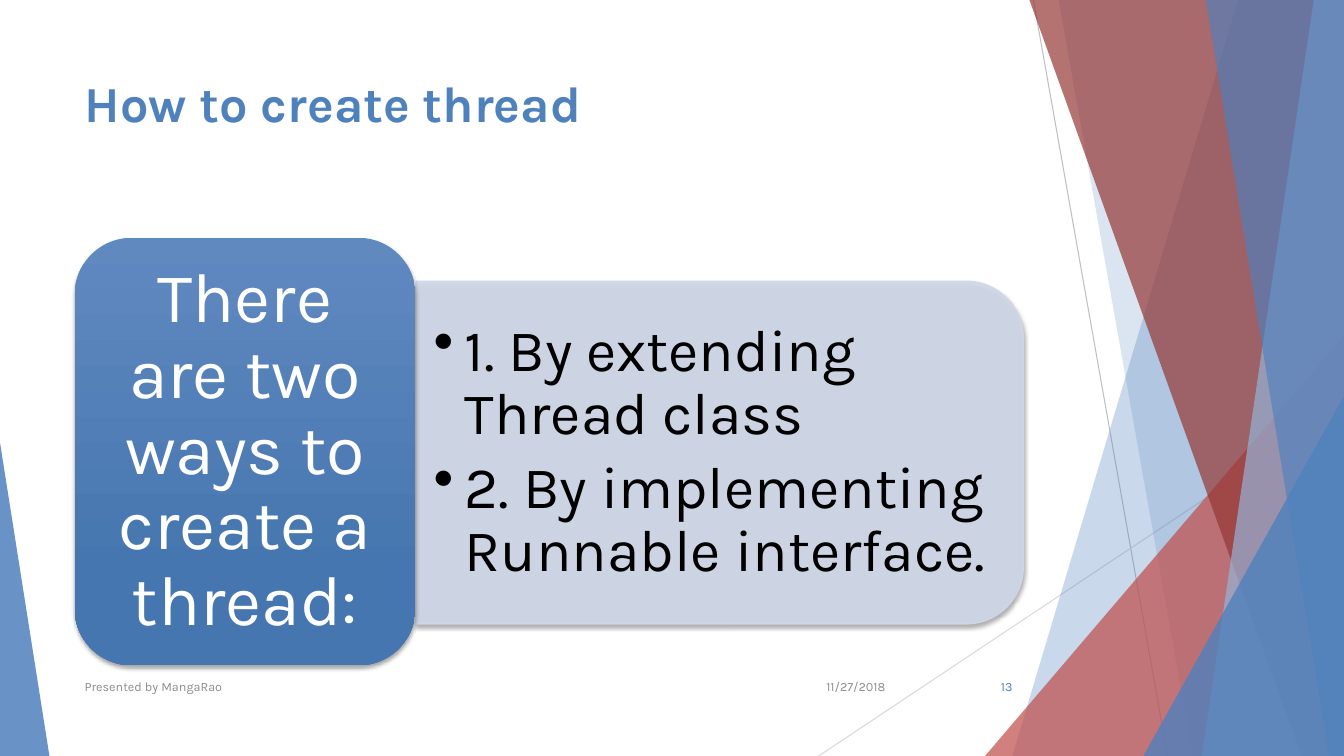
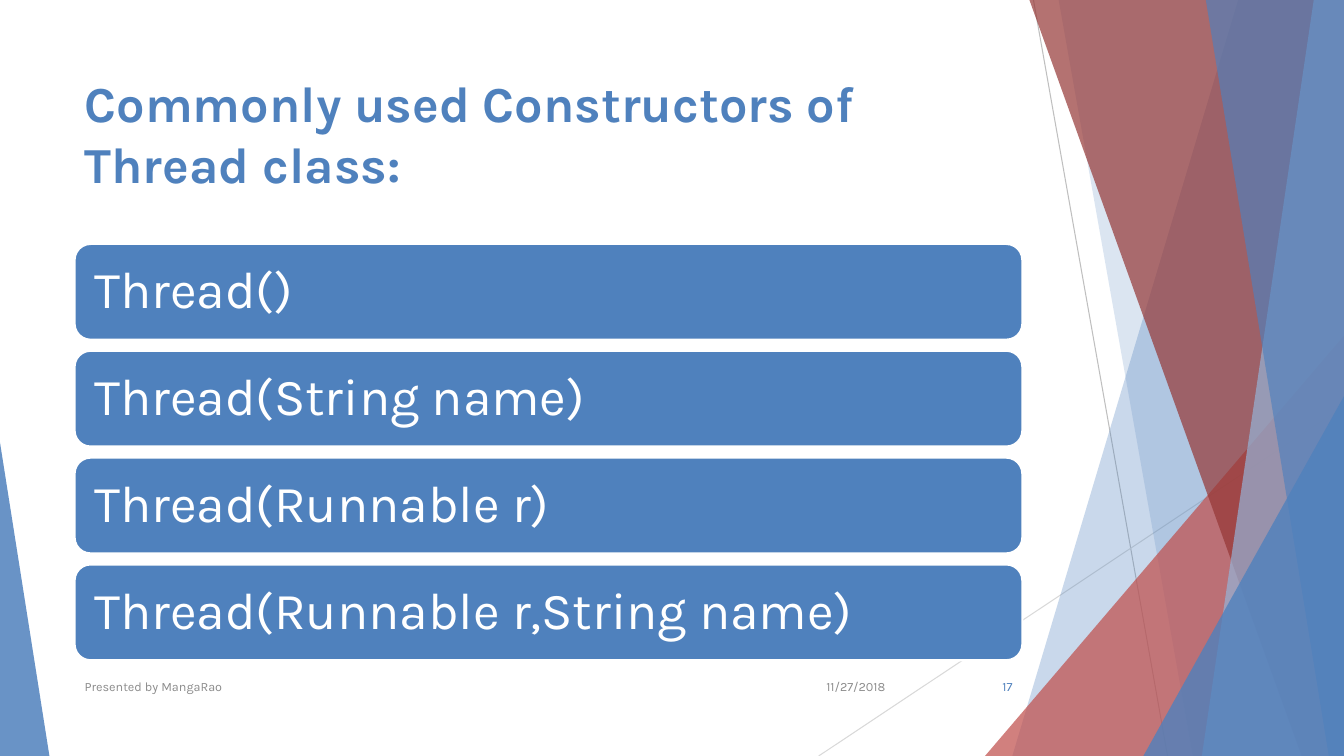
from lxml import etree
from pptx import Presentation
from pptx.dml.color import RGBColor
from pptx.enum.shapes import MSO_CONNECTOR, MSO_SHAPE
from pptx.enum.text import MSO_ANCHOR, MSO_AUTO_SIZE, PP_ALIGN
from pptx.oxml.ns import qn
from pptx.util import Emu, Pt

ROUND = MSO_SHAPE.ROUNDED_RECTANGLE
TAB = MSO_SHAPE.ROUND_2_SAME_RECTANGLE
WEDGE = MSO_SHAPE.ISOSCELES_TRIANGLE
LINE = MSO_CONNECTOR.STRAIGHT
LEFT, MID, RIGHT = PP_ALIGN.LEFT, PP_ALIGN.CENTER, PP_ALIGN.RIGHT
TOP, CENTER = MSO_ANCHOR.TOP, MSO_ANCHOR.MIDDLE
FIXED = MSO_AUTO_SIZE.NONE

# Style: 100 px to the inch
SCALE = 9144
WIDE, HIGH = 1333, 750
EDGE, SPAN = 74, 940
FONT = "Karla"
BLUE, RED, WINE, SKY = "4F81BD", "C0504D", "953735", "95B3D7"
WHITE, BLACK, GREY, PALE = "FFFFFF", "000000", "8C8C8C", "D0D8E8"

# Side art: thin lines, bands (top x, foot x) that run to the right edge,
# and wedges (left, top, width, apex)
LINES = [(1025, 0, 1158, HIGH, "BFBFBF"), (WIDE, 403, 812, HIGH, "D9D9D9")]
ART = [
    ("band", (1228, 1004), BLUE, 30),
    ("band", (1050, 1183), BLUE, 20),
    ("wedge", (977, 333, 356, 1), RED, 72),
    ("band", (1021, 1291), WINE, 70),
    ("band", (1303, 1192), SKY, 70),
    ("band", (1196, 1318), BLUE, 65),
    ("wedge", (1134, 393, 199, 1), BLUE, 80),
    ("wedge", (0, 439, 49, 0), BLUE, 85),
]


def px(n):
    return Emu(n * SCALE)


def rgb(code):
    return RGBColor.from_string(code)


class Deck:
    def __init__(self):
        self.prs = Presentation()
        self.prs.slide_width, self.prs.slide_height = px(WIDE), px(HIGH)
        self.slide = None

    def page(self, title, number):
        """Start a slide with its art, title and footer."""
        self.slide = self.prs.slides.add_slide(self.prs.slide_layouts[5])
        for *ends, color in LINES:
            self.line(ends, color)
        for kind, spot, color, alpha in ART:
            draw = self.band if kind == "band" else self.wedge
            draw(*spot, color, alpha)
        head = self.slide.shapes.title
        head.left, head.top, head.width, head.height = map(px, (EDGE, 67, SPAN, 144))
        self.label(head, [title], 36, BLUE, anchor=TOP, bold=True)
        for left, width, text, color, align in [
            (788, 100, "11/27/2018", GREY, RIGHT),
            (EDGE, 689, "Presented by MangaRao", GREY, LEFT),
            (939, 75, number, BLUE, RIGHT),
        ]:
            self.label(self.box(left, 661, width, 40), [text], 9, color, align)

    def line(self, ends, color):
        rule = self.slide.shapes.add_connector(LINE, *map(px, ends))
        rule.line.color.rgb = rgb(color)
        rule.line.width = Pt(0.75)
        etree.SubElement(rule._element.spPr, qn("a:effectLst"))

    def paint(self, shape, fill, alpha=100, edge=None, weight=1):
        shape.shadow.inherit = False
        shape.fill.solid()
        shape.fill.fore_color.rgb = rgb(fill)
        if edge:
            shape.line.color.rgb = rgb(edge)
            shape.line.width = Pt(weight)
        else:
            shape.line.fill.background()
        if alpha < 100:
            for tone in shape._element.spPr.iter(qn("a:srgbClr")):
                etree.SubElement(tone, qn("a:alpha"), val=str(alpha * 1000))

    def band(self, top, foot, color, alpha):
        form = self.slide.shapes.build_freeform(top, 0, SCALE)
        form.add_line_segments([(WIDE, 0), (WIDE, HIGH), (foot, HIGH)], close=True)
        self.paint(form.convert_to_shape(), color, alpha)

    def shape(self, kind, left, top, width, height):
        return self.slide.shapes.add_shape(kind, *map(px, (left, top, width, height)))

    def wedge(self, left, top, width, apex, color, alpha):
        tri = self.shape(WEDGE, left, top, width, HIGH - top)
        tri.adjustments[0] = apex
        self.paint(tri, color, alpha)

    def box(self, left, top, width, height):
        return self.slide.shapes.add_textbox(*map(px, (left, top, width, height)))

    def shade(self, shape):
        """Give a soft shadow below the shape."""
        glow = shape._element.spPr.find(qn("a:effectLst"))
        drop = etree.SubElement(glow, qn("a:outerShdw"), blurRad=str(Pt(3)),
                                dist=str(Pt(2)), dir="5400000", rotWithShape="0")
        tone = etree.SubElement(drop, qn("a:srgbClr"), val=BLACK)
        etree.SubElement(tone, qn("a:alpha"), val="35000")

    def label(self, shape, texts, size, color, align=LEFT, anchor=CENTER,
              pad=(10, 5), bold=False, lead=None, after=0, hang=0):
        frame = shape.text_frame
        frame.word_wrap, frame.auto_size = True, FIXED
        frame.vertical_anchor = anchor
        frame.margin_left = frame.margin_right = px(pad[0])
        frame.margin_top = frame.margin_bottom = px(pad[1])
        frame.text = "\n".join(texts)
        for par in frame.paragraphs:
            par.alignment = align
            par.line_spacing = lead
            par.space_after = Pt(after)
            font = par.font
            font.name, font.size, font.bold = FONT, Pt(size), bold
            font.color.rgb = rgb(color)
            if hang:
                self.bullet(par, hang)

    def bullet(self, par, hang):
        props = par._p.get_or_add_pPr()
        props.set("marL", str(px(hang)))
        props.set("indent", str(-px(hang)))
        mark = etree.Element(qn("a:buChar"), char="•")
        props.find(qn("a:spcAft")).addnext(mark)

    def panel(self, left, top, width, height, texts):
        """Draw a tab turned to the right, with its list on top."""
        shift = (width - height) // 2
        tab = self.shape(TAB, left + shift, top - shift, height, width)
        tab.rotation = 90
        self.paint(tab, PALE, 90, PALE)
        self.shade(tab)
        area = self.box(left, top + 17, width - 17, height - 34)
        self.label(area, texts, 42, BLACK, pad=(17, 9), lead=0.9, after=7, hang=31)

    def card(self, left, top, width, height, text):
        card = self.shape(ROUND, left, top, width, height)
        self.paint(card, BLUE)
        card.fill.gradient()
        card.fill.gradient_angle = 270
        stops = card.fill.gradient_stops
        for stop, spot, tone in zip(stops, (0, 0.78), ("6089C0", "4676AF")):
            stop.position, stop.color.rgb = spot, rgb(tone)
        self.shade(card)
        self.label(card, [text], 50, WHITE, MID, pad=(21, 10), lead=0.9)

    def rows(self, top, height, step, texts):
        for i, text in enumerate(texts):
            row = self.shape(ROUND, EDGE, top + i * step, SPAN, height)
            self.paint(row, BLUE, edge=WHITE, weight=1.5)
            self.label(row, [text], 37, WHITE, pad=(15, 15), lead=0.9)


def main():
    deck = Deck()

    # Ways to create a thread
    deck.page("How to create thread", "13")
    deck.panel(413, 279, 602, 340, ["1. By extending Thread class",
                                    "2. By implementing Runnable interface."])
    deck.card(EDGE, 236, 338, 424, "There are two ways to create a thread:")

    # Constructors
    deck.page("Commonly used Constructors of Thread class:", "17")
    deck.rows(242, 95, 106, ["Thread()", "Thread(String name)", "Thread(Runnable r)",
                             "Thread(Runnable r,String name)"])

    deck.prs.save("out.pptx")


if __name__ == "__main__":
    main()
